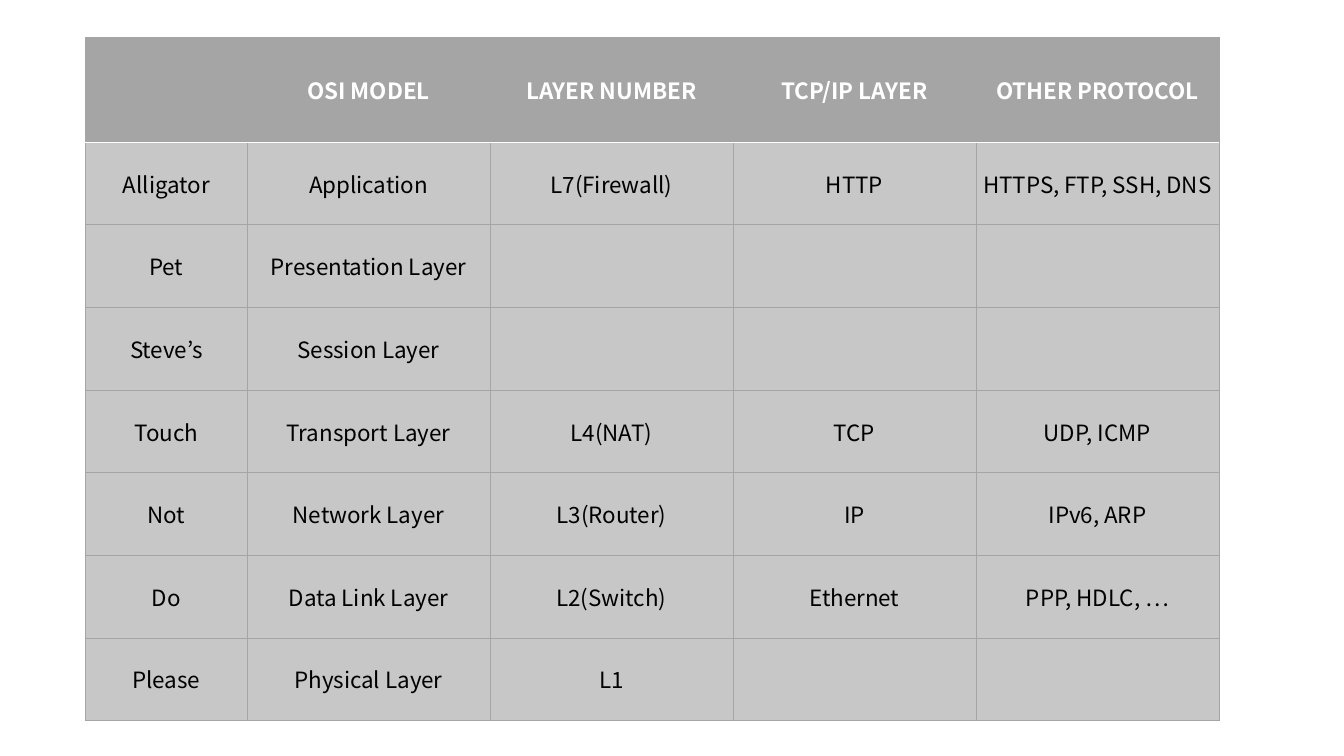
from lxml import etree
from pptx import Presentation
from pptx.dml.color import RGBColor
from pptx.enum.text import MSO_ANCHOR, PP_ALIGN
from pptx.oxml.ns import qn
from pptx.util import Inches, Pt

CENTER = PP_ALIGN.CENTER
MIDDLE = MSO_ANCHOR.MIDDLE

GRAY = RGBColor(0xA5, 0xA5, 0xA5)
LIGHT_GRAY = RGBColor(0xC7, 0xC7, 0xC7)
WHITE = RGBColor(0xFF, 0xFF, 0xFF)
BLACK = RGBColor(0x00, 0x00, 0x00)

FONT = "Noto Sans CJK KR"
BLANK_LAYOUT = 6
COLUMN_WIDTHS = [1.6] + [2.41] * 4
HEADER_HEIGHT = 1.04
LAYER_HEIGHT = 0.82

OSI_ROWS = [
    ["", "OSI MODEL", "LAYER NUMBER", "TCP/IP LAYER", "OTHER PROTOCOL"],
    ["Alligator", "Application", "L7(Firewall)", "HTTP", "HTTPS, FTP, SSH, DNS"],
    ["Pet", "Presentation Layer", "", "", ""],
    ["Steve’s", "Session Layer", "", "", ""],
    ["Touch", "Transport Layer", "L4(NAT)", "TCP", "UDP, ICMP"],
    ["Not", "Network Layer", "L3(Router)", "IP", "IPv6, ARP"],
    ["Do", "Data Link Layer", "L2(Switch)", "Ethernet", "PPP, HDLC, …"],
    ["Please", "Physical Layer", "L1", "", ""],
]


def set_borders(cell, row_number):
    properties = cell._tc.get_or_add_tcPr()
    white_side = {0: "lnB", 1: "lnT"}.get(row_number)
    for position, side in enumerate(("lnL", "lnR", "lnT", "lnB")):
        color, width = (WHITE, 1) if side == white_side else (GRAY, 0.5)
        line = etree.Element(qn(f"a:{side}"), w=str(Pt(width)))
        fill = etree.SubElement(line, qn("a:solidFill"))
        etree.SubElement(fill, qn("a:srgbClr"), val=str(color))
        properties.insert(position, line)


def fill_cell(cell, text, is_header):
    cell.fill.solid()
    cell.fill.fore_color.rgb = GRAY if is_header else LIGHT_GRAY
    cell.vertical_anchor = MIDDLE
    cell.margin_left = cell.margin_right = Inches(0.07)
    cell.margin_top = cell.margin_bottom = Inches(0.04)
    if not text:
        return
    para = cell.text_frame.paragraphs[0]
    para.text = text
    para.alignment = CENTER
    for span in para.runs:
        span.font.name = FONT
        span.font.size = Pt(16)
        span.font.bold = is_header
        span.font.color.rgb = WHITE if is_header else BLACK


def add_osi_table(page):
    row_heights = [HEADER_HEIGHT] + [LAYER_HEIGHT] * (len(OSI_ROWS) - 1)
    table = page.shapes.add_table(
        len(OSI_ROWS), len(COLUMN_WIDTHS), Inches(0.85), Inches(0.37),
        Inches(sum(COLUMN_WIDTHS)), Inches(sum(row_heights)),
    ).table
    for column, width in zip(table.columns, COLUMN_WIDTHS):
        column.width = Inches(width)
    for row_number, texts in enumerate(OSI_ROWS):
        table.rows[row_number].height = Inches(row_heights[row_number])
        for column_number, text in enumerate(texts):
            cell = table.cell(row_number, column_number)
            fill_cell(cell, text, row_number == 0)
            set_borders(cell, row_number)


def main():
    deck = Presentation()
    deck.slide_width = Inches(13.33)
    deck.slide_height = Inches(7.5)
    page = deck.slides.add_slide(deck.slide_layouts[BLANK_LAYOUT])
    add_osi_table(page)
    deck.save("out.pptx")


if __name__ == "__main__":
    main()
